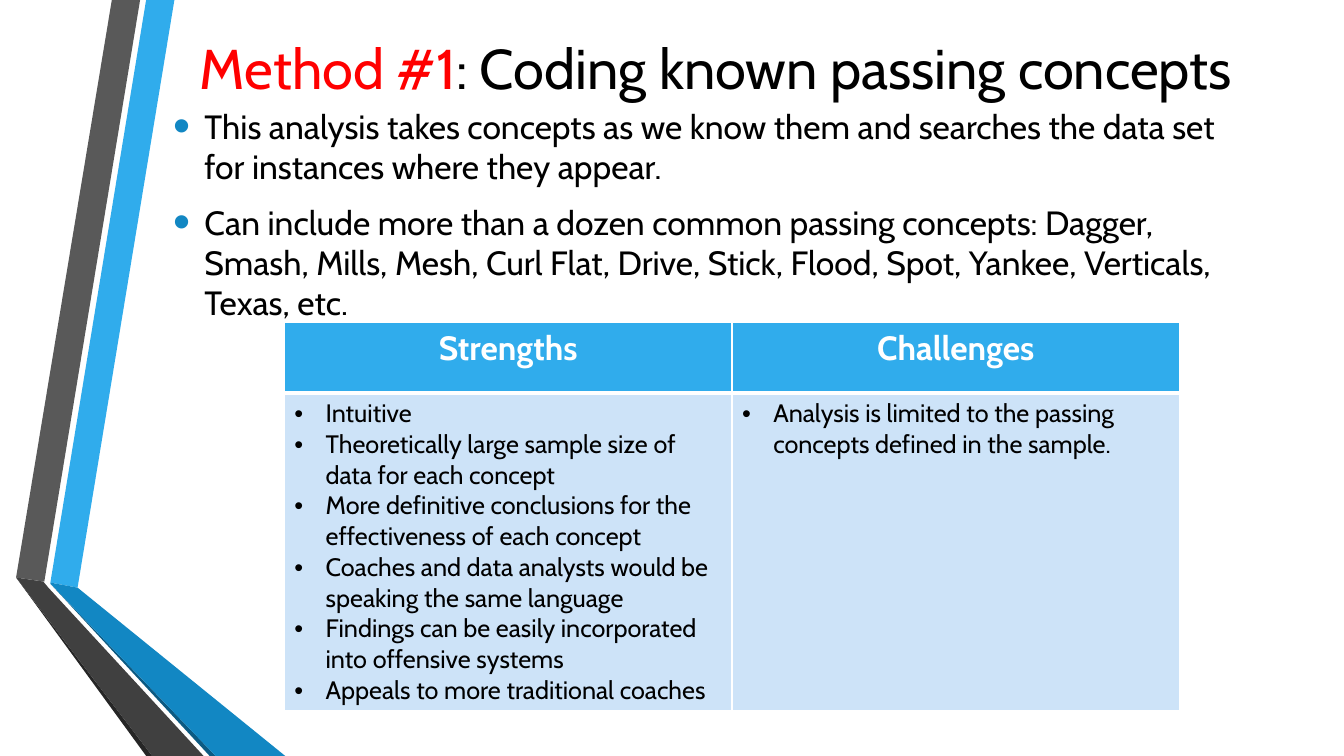
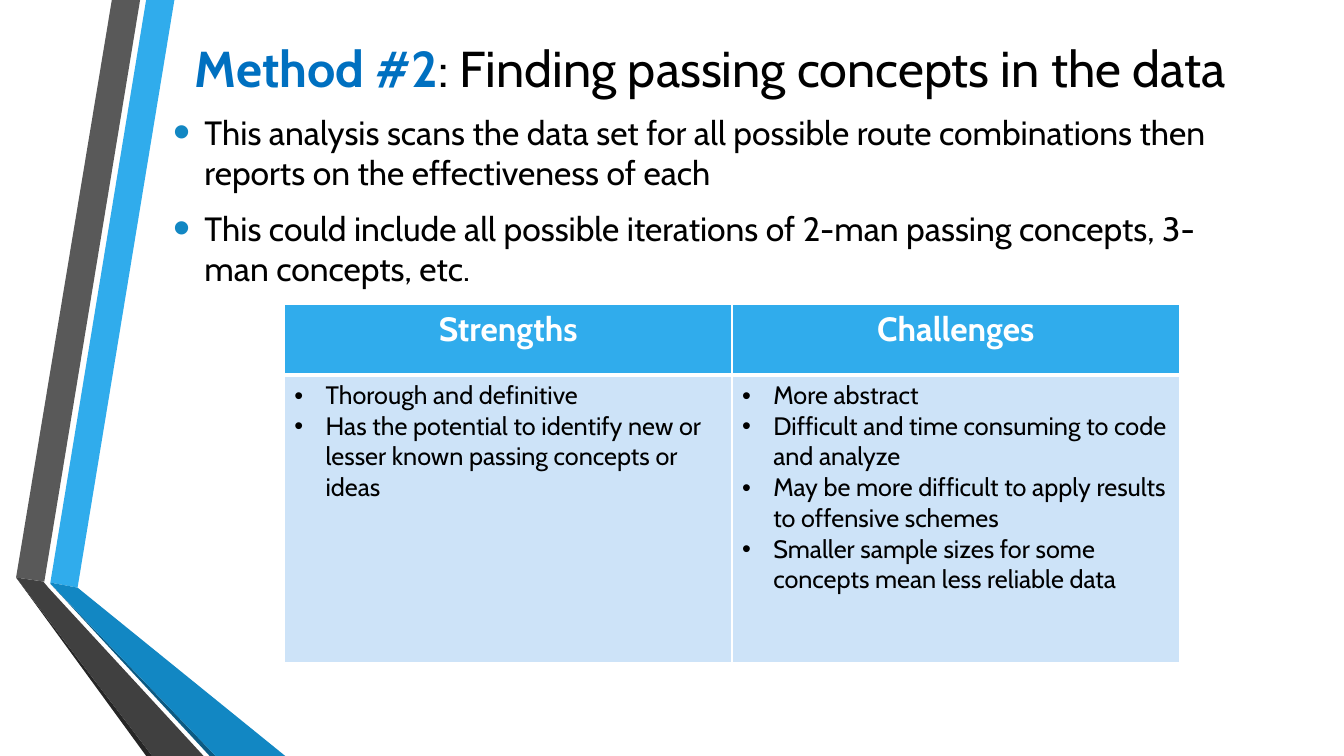
from dataclasses import dataclass

from lxml.etree import SubElement
from pptx import Presentation
from pptx.dml.color import RGBColor
from pptx.enum.text import MSO_ANCHOR, PP_ALIGN
from pptx.oxml.ns import qn
from pptx.util import Inches, Pt


@dataclass(frozen=True)
class Theme:
    """Colours, font and type sizes shared by the slides."""
    font: str = "Cabin"
    black: str = "000000"
    white: str = "FFFFFF"
    red: str = "FF0000"
    blue: str = "0070C0"
    sky: str = "30ACEC"
    bullet: str = "1287C3"
    pale: str = "CDE3F8"
    body: int = 24
    cell: int = 18


T = Theme()
LEFT, WIDTH, INDENT = 1.62, 10.96, 0.31
TABLE_LEFT, COL_WIDTH, HEADER_HEIGHT = 2.82, 4.44, 0.7
THIN, THICK = 1, 3

BANDS = [
    (T.sky, [(0.5, 5.78), (0.77, 5.83), (1.73, 0), (1.45, 0)]),
    ("595959", [(1.39, 0), (1.11, 0), (0.16, 5.73), (0.44, 5.77)]),
    ("262626", [(0.16, 5.73), (1.45, 7.5), (1.51, 7.5)]),
    ("0C5A82", [(0.5, 5.79), (2.08, 7.5), (2.14, 7.5)]),
    (T.bullet, [(0.5, 5.79), (2.14, 7.5), (2.83, 7.5), (0.77, 5.83), (0.5, 5.78)]),
    ("404040", [(2.02, 7.5), (0.48, 5.83), (0.43, 5.77), (0.16, 5.73), (1.51, 7.5)]),
]

METHODS = [
    dict(
        label="Method #1", rest=": Coding known passing concepts",
        color=T.red, size=40, bold=False,
        points=[
            "This analysis takes concepts as we know them and searches the data set "
            "for instances where they appear.",
            "Can include more than a dozen common passing concepts: Dagger, Smash, "
            "Mills, Mesh, Curl Flat, Drive, Stick, Flood, Spot, Yankee, Verticals, "
            "Texas, etc.",
        ],
        points_height=2.15, table_top=3.2, row_height=3.15,
        strengths=[
            "Intuitive",
            "Theoretically large sample size of data for each concept",
            "More definitive conclusions for the effectiveness of each concept",
            "Coaches and data analysts would be speaking the same language",
            "Findings can be easily incorporated into offensive systems",
            "Appeals to more traditional coaches",
        ],
        challenges=["Analysis is limited to the passing concepts defined in the sample."],
    ),
    dict(
        label="Method #2", rest=": Finding passing concepts in the data ",
        color=T.blue, size=36, bold=True,
        points=[
            "This analysis scans the data set for all possible route combinations then "
            "reports on the effectiveness of each",
            "This could include all possible iterations of 2-man passing concepts, "
            "3-man concepts, etc.",
        ],
        points_height=1.87, table_top=3.02, row_height=2.85,
        strengths=[
            "Thorough and definitive",
            "Has the potential to identify new or lesser known passing concepts or ideas",
        ],
        challenges=[
            "More abstract ",
            "Difficult and time consuming to code and analyze",
            "May be more difficult to apply results to offensive schemes",
            "Smaller sample sizes for some concepts mean less reliable data",
        ],
    ),
]


def add_text(p, text, *, size=T.body, color=T.black, bold=False, align=PP_ALIGN.LEFT):
    """Append a formatted run to a paragraph."""
    p.alignment = align
    r = p.add_run()
    r.text = text
    r.font.name, r.font.size, r.font.bold = T.font, Pt(size), bold
    r.font.color.rgb = RGBColor.from_string(color)


def add_bullet(p, color, percent):
    """Give a paragraph a hanging round bullet."""
    pPr = p._p.get_or_add_pPr()
    pPr.set("marL", str(Inches(INDENT)))
    pPr.set("indent", str(Inches(-INDENT)))
    SubElement(SubElement(pPr, qn("a:buClr")), qn("a:srgbClr"), val=color)
    SubElement(pPr, qn("a:buSzPct"), val=str(percent * 1000))
    SubElement(pPr, qn("a:buFont"), typeface="Arial")
    SubElement(pPr, qn("a:buChar"), char="•")


def add_list(tf, items, *, size, color=T.black, percent=100, before=0, after=0):
    """Fill a text frame with bulleted paragraphs."""
    for i, item in enumerate(items):
        p = tf.add_paragraph() if i else tf.paragraphs[0]
        p.space_before, p.space_after = Pt(before), Pt(after)
        add_bullet(p, color, percent)
        add_text(p, item, size=size)


def add_box(s, top, height):
    """Add a wrapping, vertically centred text box in the content column."""
    box = s.shapes.add_textbox(Inches(LEFT), Inches(top), Inches(WIDTH), Inches(height))
    tf = box.text_frame
    tf.word_wrap = True
    tf.vertical_anchor = MSO_ANCHOR.MIDDLE
    return tf


def add_bands(s):
    """Draw the folded ribbons at the left edge."""
    group = s.shapes.add_group_shape()
    for color, points in BANDS:
        start, *others = [(Inches(x), Inches(y)) for x, y in points]
        builder = group.shapes.build_freeform(*start)
        builder.add_line_segments(others, close=True)
        sp = builder.convert_to_shape()
        sp.shadow.inherit = False
        sp.fill.solid()
        sp.fill.fore_color.rgb = RGBColor.from_string(color)
        sp.line.fill.background()


def add_title(s, label, rest, color, size, bold):
    """Write the title with its coloured method label."""
    p = add_box(s, 0.19, 0.96).paragraphs[0]
    add_text(p, label, size=size, color=color, bold=bold, align=PP_ALIGN.CENTER)
    add_text(p, rest, size=size, align=PP_ALIGN.CENTER)


def style_cell(cell, fill, **borders):
    """Set white borders, given by side in points, and the fill of a cell."""
    tcPr = cell._tc.get_or_add_tcPr()
    for side in "LRTB":
        ln = SubElement(tcPr, qn(f"a:ln{side}"), w=str(Pt(borders.get(side, THIN))))
        SubElement(SubElement(ln, qn("a:solidFill")), qn("a:srgbClr"), val=T.white)
    cell.fill.solid()
    cell.fill.fore_color.rgb = RGBColor.from_string(fill)


def add_comparison(s, top, row_height, columns):
    """Add a table with one headed list per column."""
    table = s.shapes.add_table(
        2, len(columns), Inches(TABLE_LEFT), Inches(top),
        Inches(COL_WIDTH * len(columns)), Inches(HEADER_HEIGHT + row_height)).table
    table.rows[0].height = Inches(HEADER_HEIGHT)
    table.rows[1].height = Inches(row_height)
    for i, (heading, items) in enumerate(columns.items()):
        table.columns[i].width = Inches(COL_WIDTH)
        head, body = table.cell(0, i), table.cell(1, i)
        style_cell(head, T.sky, B=THICK)
        style_cell(body, T.pale, T=THICK)
        add_text(head.text_frame.paragraphs[0], heading, color=T.white, bold=True,
                 align=PP_ALIGN.CENTER)
        add_list(body.text_frame, items, size=T.cell)


def add_method(prs, m):
    """Build the slide of one method."""
    s = prs.slides.add_slide(prs.slide_layouts[6])
    add_bands(s)
    add_title(s, m["label"], m["rest"], m["color"], m["size"], m["bold"])
    add_list(add_box(s, 1.05, m["points_height"]), m["points"], size=T.body,
             color=T.bullet, percent=145, before=T.body * 0.2, after=6)
    add_comparison(s, m["table_top"], m["row_height"],
                   {"Strengths": m["strengths"], "Challenges": m["challenges"]})


def main():
    """Build and save the presentation."""
    prs = Presentation()
    prs.slide_width, prs.slide_height = Inches(13.33), Inches(7.5)
    for m in METHODS:
        add_method(prs, m)
    prs.save("out.pptx")


main()
